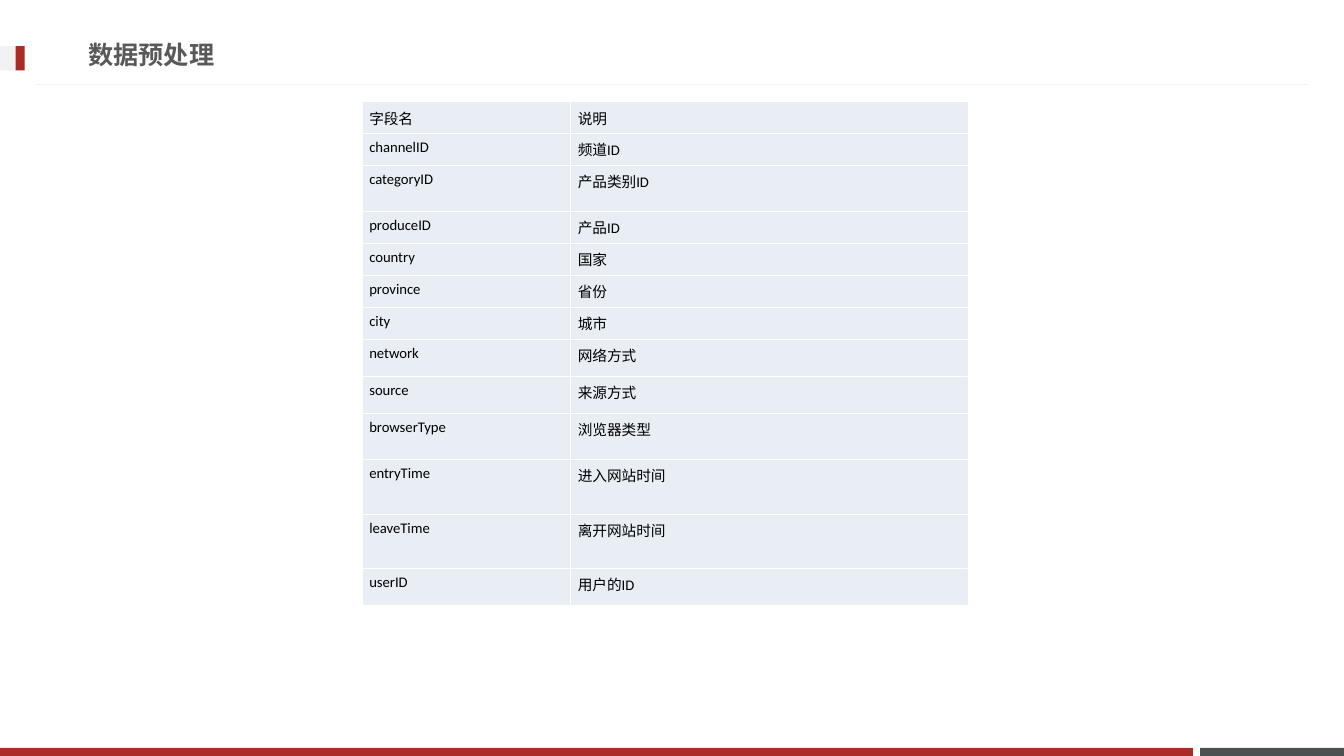
"""Build the data preprocessing slide with its table of log fields."""
from dataclasses import dataclass

from lxml.etree import SubElement
from pptx import Presentation
from pptx.dml.color import RGBColor
from pptx.enum.shapes import MSO_CONNECTOR, MSO_SHAPE
from pptx.enum.text import MSO_ANCHOR
from pptx.oxml.ns import qn
from pptx.util import Pt


@dataclass(frozen=True)
class Theme:
    red: str = "AD2B26"
    slate: str = "49504F"
    pale: str = "F2F2F2"
    heading: str = "595959"
    ink: str = "000000"
    cell: str = "E9EDF4"
    border: str = "FFFFFF"
    latin: str = "Calibri"
    chinese: str = "Noto Sans CJK SC"
    title_size: float = 18
    cell_size: float = 10.5


class Painter:
    def __init__(self, page, theme):
        self.page = page
        self.theme = theme

    def bar(self, left, top, width, height, color):
        box = self.page.shapes.add_shape(
            MSO_SHAPE.RECTANGLE, Pt(left), Pt(top), Pt(width), Pt(height))
        box.shadow.inherit = False
        box.fill.solid()
        box.fill.fore_color.rgb = RGBColor.from_string(color)
        box.line.fill.background()

    def rule(self, left, right, top, color):
        line = self.page.shapes.add_connector(
            MSO_CONNECTOR.STRAIGHT, Pt(left), Pt(top), Pt(right), Pt(top))
        line.line.color.rgb = RGBColor.from_string(color)
        line.line.width = Pt(0.75)
        SubElement(line._element.spPr, qn("a:effectLst"))

    def label(self, frame, text, size, color, font, spacing, bold=False):
        para = frame.paragraphs[0]
        para.text = text
        para.space_before = para.space_after = Pt(spacing)
        para.font.size = Pt(size)
        para.font.bold = bold
        para.font.name = font
        para.font.color.rgb = RGBColor.from_string(color)
        SubElement(para.font._element, qn("a:ea"), typeface=self.theme.chinese)

    def title(self, left, top, width, height, text):
        box = self.page.shapes.add_textbox(Pt(left), Pt(top), Pt(width), Pt(height))
        frame = box.text_frame
        frame.word_wrap = True
        frame.vertical_anchor = MSO_ANCHOR.MIDDLE
        self.label(frame, text, self.theme.title_size, self.theme.heading,
                   self.theme.chinese, 1.5, bold=True)

    def outline(self, cell):
        properties = cell._tc.get_or_add_tcPr()
        for position, side in enumerate(("lnL", "lnR", "lnT", "lnB")):
            line = SubElement(properties, qn(f"a:{side}"), w=str(Pt(1)))
            fill = SubElement(line, qn("a:solidFill"))
            SubElement(fill, qn("a:srgbClr"), val=self.theme.border)
            properties.insert(position, line)

    def table(self, left, top, widths, rows):
        height = sum(row[0] for row in rows)
        table = self.page.shapes.add_table(
            len(rows), len(widths), Pt(left), Pt(top), Pt(sum(widths)), Pt(height)).table
        for column, width in zip(table.columns, widths):
            column.width = Pt(width)
        for index, (row_height, *texts) in enumerate(rows):
            table.rows[index].height = Pt(row_height)
            for column, text in enumerate(texts):
                cell = table.cell(index, column)
                cell.fill.solid()
                cell.fill.fore_color.rgb = RGBColor.from_string(self.theme.cell)
                cell.margin_left = cell.margin_right = Pt(5.2)
                cell.margin_top = cell.margin_bottom = Pt(3.6)
                cell.vertical_anchor = MSO_ANCHOR.TOP if index else MSO_ANCHOR.BOTTOM
                self.label(cell.text_frame, text, self.theme.cell_size,
                           self.theme.ink, self.theme.latin, 1.8)
                self.outline(cell)


SHORT, MEDIUM, TALL, TALLEST = 22.9, 26.5, 32.7, 39
FIELDS = [
    (SHORT, "字段名", "说明"),
    (SHORT, "channelID", "频道ID"),
    (TALL, "categoryID", "产品类别ID"),
    (SHORT, "produceID", "产品ID"),
    (SHORT, "country", "国家"),
    (SHORT, "province", "省份"),
    (SHORT, "city", "城市"),
    (MEDIUM, "network", "网络方式"),
    (MEDIUM, "source", "来源方式"),
    (TALL, "browserType", "浏览器类型"),
    (TALLEST, "entryTime", "进入网站时间"),
    (TALLEST, "leaveTime", "离开网站时间"),
    (MEDIUM, "userID", "用户的ID"),
]

deck = Presentation()
deck.slide_width, deck.slide_height = Pt(960), Pt(540)
theme = Theme()
painter = Painter(deck.slides.add_slide(deck.slide_layouts[6]), theme)

painter.bar(857.3, 534.2, 102.7, 5.8, theme.slate)
painter.bar(0, 534.2, 852, 5.8, theme.red)
painter.rule(25.5, 934.5, 60.3, theme.pale)
painter.bar(0, 33, 17.7, 17.4, theme.pale)
painter.bar(11.2, 33, 6.5, 17.4, theme.red)
painter.title(56, 18.7, 690.5, 41, "数据预处理")
painter.table(258.6, 72.7, (149, 284.2), FIELDS)

deck.save("out.pptx")
